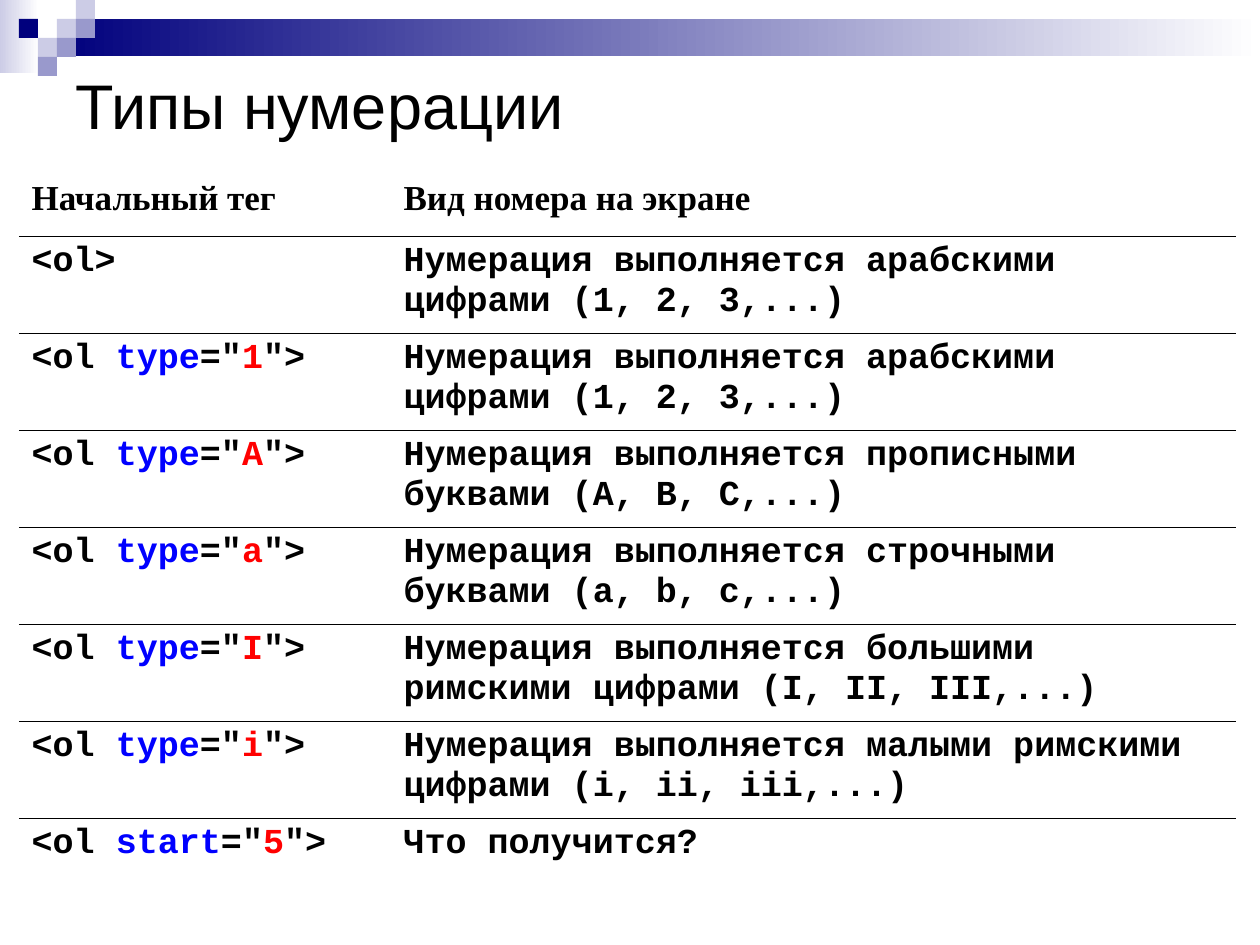
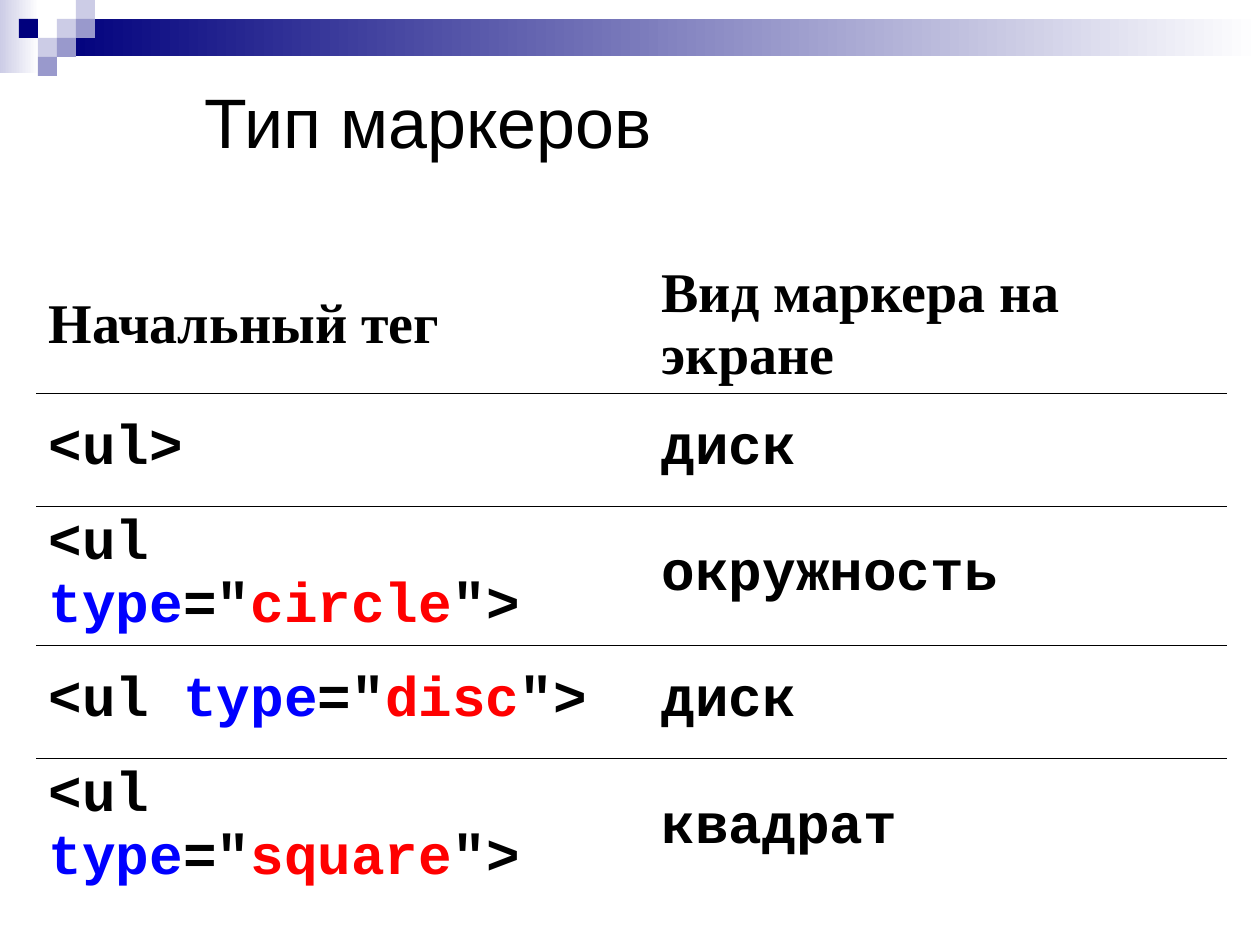
import pptx
import pptx.dml.color
import pptx.enum.shapes
import pptx.enum.text
import pptx.oxml
import pptx.oxml.ns
import pptx.shapes.autoshape
import pptx.slide
import pptx.table
import pptx.text.text
import pptx.util
from dataclasses import dataclass
from typing import Any, NamedTuple

PX_PER_INCH = 126
MOSAIC_STEP = 19
TITLE_ONLY_LAYOUT = 5
NO_GRID_STYLE = "{2D5ABB26-0587-4C30-8999-92F81FD0307C}"
ANCHOR = pptx.enum.text.MSO_ANCHOR


@dataclass(frozen=True)
class Theme:
    navy: str = "00007D"
    lavender: str = "9999CC"
    mist: str = "CCCCE6"
    paper: str = "FFFFFF"
    ink: str = "000000"
    attribute: str = "0000FF"
    value: str = "FF0000"
    title_font: str = "Arial"
    heading_font: str = "Times New Roman"
    code_font: str = "Courier New"
    numbering_title: int = 36
    numbering_text: int = 20
    markers_title: int = 40
    markers_text: int = 32


THEME = Theme()


class Box(NamedTuple):
    left: int
    top: int
    width: int
    height: int


class Tile(NamedTuple):
    column: int
    row: int
    color: str


class Fade(NamedTuple):
    box: Box
    start: str


class Tag(NamedTuple):
    element: str
    attribute: str = ""
    value: str = ""


class Rule(NamedTuple):
    tag: Tag
    meaning: str


@dataclass(frozen=True)
class TagSlide:
    title: str
    title_box: Box
    title_size: int
    headings: tuple[str, str]
    rules: list[Rule]
    table_left: int
    table_top: int
    columns: tuple[int, int]
    rows: list[int]
    text_size: int
    anchor: Any
    border: float


FADES = [
    Fade(Box(0, 0, 39, 73), THEME.mist),
    Fade(Box(57, 19, 1203, 37), THEME.navy),
]
MOSAIC = [
    Tile(3, 1, THEME.mist),
    Tile(4, 0, THEME.mist),
    Tile(4, 1, THEME.lavender),
    Tile(2, 2, THEME.mist),
    Tile(1, 1, THEME.navy),
    Tile(3, 2, THEME.lavender),
    Tile(2, 3, THEME.lavender),
]

NUMBERING = TagSlide(
    title="Типы нумерации",
    title_box=Box(63, 63, 1134, 82),
    title_size=THEME.numbering_title,
    headings=("Начальный тег", "Вид номера на экране"),
    rules=[
        Rule(Tag("ol"), "Нумерация выполняется арабскими цифрами (1, 2, 3,...)"),
        Rule(Tag("ol", "type", "1"), "Нумерация выполняется арабскими цифрами (1, 2, 3,...)"),
        Rule(Tag("ol", "type", "A"), "Нумерация выполняется прописными буквами (A, B, C,...)"),
        Rule(Tag("ol", "type", "a"), "Нумерация выполняется строчными буквами (a, b, c,...)"),
        Rule(Tag("ol", "type", "I"), "Нумерация выполняется большими римскими цифрами (I, II, III,...)"),
        Rule(Tag("ol", "type", "i"), "Нумерация выполняется малыми римскими цифрами (i, ii, iii,...)"),
        Rule(Tag("ol", "start", "5"), "Что получится?"),
    ],
    table_left=19,
    table_top=173,
    columns=(372, 845),
    rows=[63] + [97] * 6 + [112],
    text_size=THEME.numbering_text,
    anchor=ANCHOR.TOP,
    border=0.34,
)
MARKERS = TagSlide(
    title="Тип маркеров",
    title_box=Box(192, 63, 1005, 116),
    title_size=THEME.markers_title,
    headings=("Начальный тег", "Вид маркера на экране"),
    rules=[
        Rule(Tag("ul"), "диск"),
        Rule(Tag("ul", "type", "circle"), "oкружность"),
        Rule(Tag("ul", "type", "disc"), "диск"),
        Rule(Tag("ul", "type", "square"), "квадрат"),
    ],
    table_left=36,
    table_top=256,
    columns=(613, 578),
    rows=[135] + [113] * 4,
    text_size=THEME.markers_text,
    anchor=ANCHOR.MIDDLE,
    border=0.45,
)


def px(length: int) -> pptx.util.Emu:
    return pptx.util.Inches(length / PX_PER_INCH)


def rgb(color: str) -> pptx.dml.color.RGBColor:
    return pptx.dml.color.RGBColor.from_string(color)


def set_format(target: Any, values: dict[str, Any]) -> None:
    for attribute, value in values.items():
        setattr(target, attribute, value)


def add_run(
    paragraph: pptx.text.text._Paragraph,
    text: str,
    font: str,
    size: int,
    bold: bool = True,
    color: str = THEME.ink,
) -> None:
    run = paragraph.add_run()
    run.text = text
    set_format(run.font, {"name": font, "size": pptx.util.Pt(size), "bold": bold})
    run.font.color.rgb = rgb(color)


def add_block(slide: pptx.slide.Slide, box: Box) -> pptx.shapes.autoshape.Shape:
    block = slide.shapes.add_shape(
        pptx.enum.shapes.MSO_SHAPE.RECTANGLE, *(px(length) for length in box)
    )
    block.shadow.inherit = False
    block.line.fill.background()
    return block


def add_header_band(slide: pptx.slide.Slide) -> None:
    for fade in FADES:
        fill = add_block(slide, fade.box).fill
        fill.gradient()
        fill.gradient_angle = 0
        for stop, color in zip(fill.gradient_stops, (fade.start, THEME.paper)):
            stop.color.rgb = rgb(color)
    for tile in MOSAIC:
        box = Box(tile.column * MOSAIC_STEP, tile.row * MOSAIC_STEP, MOSAIC_STEP, MOSAIC_STEP)
        fill = add_block(slide, box).fill
        fill.solid()
        fill.fore_color.rgb = rgb(tile.color)


def add_title(slide: pptx.slide.Slide, content: TagSlide) -> None:
    title = slide.shapes.title
    slide.shapes._spTree.append(title._element)
    box = content.title_box._asdict()
    set_format(title, {side: px(length) for side, length in box.items()})
    set_format(title.text_frame, {
        "vertical_anchor": ANCHOR.MIDDLE,
        "word_wrap": True,
        "auto_size": pptx.enum.text.MSO_AUTO_SIZE.NONE,
    })
    paragraph = title.text_frame.paragraphs[0]
    paragraph.alignment = pptx.enum.text.PP_ALIGN.LEFT
    add_run(paragraph, content.title, THEME.title_font, content.title_size, bold=False)


def add_tag(paragraph: pptx.text.text._Paragraph, tag: Tag, size: int) -> None:
    pieces = [(f"<{tag.element}>", THEME.ink)]
    if tag.attribute:
        pieces = [
            (f"<{tag.element} ", THEME.ink),
            (tag.attribute, THEME.attribute),
            ('="', THEME.ink),
            (tag.value, THEME.value),
            ('">', THEME.ink),
        ]
    for text, color in pieces:
        add_run(paragraph, text, THEME.code_font, size, color=color)


def add_border(cell: pptx.table._Cell, side: str, width: float) -> None:
    border = pptx.oxml.parse_xml(
        f'<a:{side} {pptx.oxml.ns.nsdecls("a")} w="{pptx.util.Pt(width)}">'
        f'<a:solidFill><a:srgbClr val="{THEME.ink}"/></a:solidFill></a:{side}>'
    )
    cell._tc.get_or_add_tcPr().append(border)


def add_rules_table(slide: pptx.slide.Slide, content: TagSlide) -> None:
    table = slide.shapes.add_table(
        len(content.rows), len(content.columns),
        px(content.table_left), px(content.table_top),
        px(sum(content.columns)), px(sum(content.rows)),
    ).table
    set_format(table, {"first_row": False, "horz_banding": False})
    table._tbl.tblPr.find(pptx.oxml.ns.qn("a:tableStyleId")).text = NO_GRID_STYLE
    for column, width in zip(table.columns, content.columns):
        column.width = px(width)
    last = len(content.rows) - 1
    for index, (row, height) in enumerate(zip(table.rows, content.rows)):
        row.height = px(height)
        for cell in row.cells:
            cell.vertical_anchor = content.anchor
            if index > 0:
                add_border(cell, "lnT", content.border)
            if index < last:
                add_border(cell, "lnB", content.border)
            cell.fill.background()
    for column, heading in enumerate(content.headings):
        paragraph = table.cell(0, column).text_frame.paragraphs[0]
        add_run(paragraph, heading, THEME.heading_font, content.text_size)
    for index, rule in enumerate(content.rules, start=1):
        tag, meaning = (table.cell(index, column).text_frame.paragraphs[0] for column in (0, 1))
        add_tag(tag, rule.tag, content.text_size)
        add_run(meaning, rule.meaning, THEME.code_font, content.text_size)


def main() -> None:
    deck = pptx.Presentation()
    set_format(deck, {"slide_width": px(1260), "slide_height": px(945)})
    for content in (NUMBERING, MARKERS):
        slide = deck.slides.add_slide(deck.slide_layouts[TITLE_ONLY_LAYOUT])
        add_header_band(slide)
        add_title(slide, content)
        add_rules_table(slide, content)
    deck.save("out.pptx")


if __name__ == "__main__":
    main()
